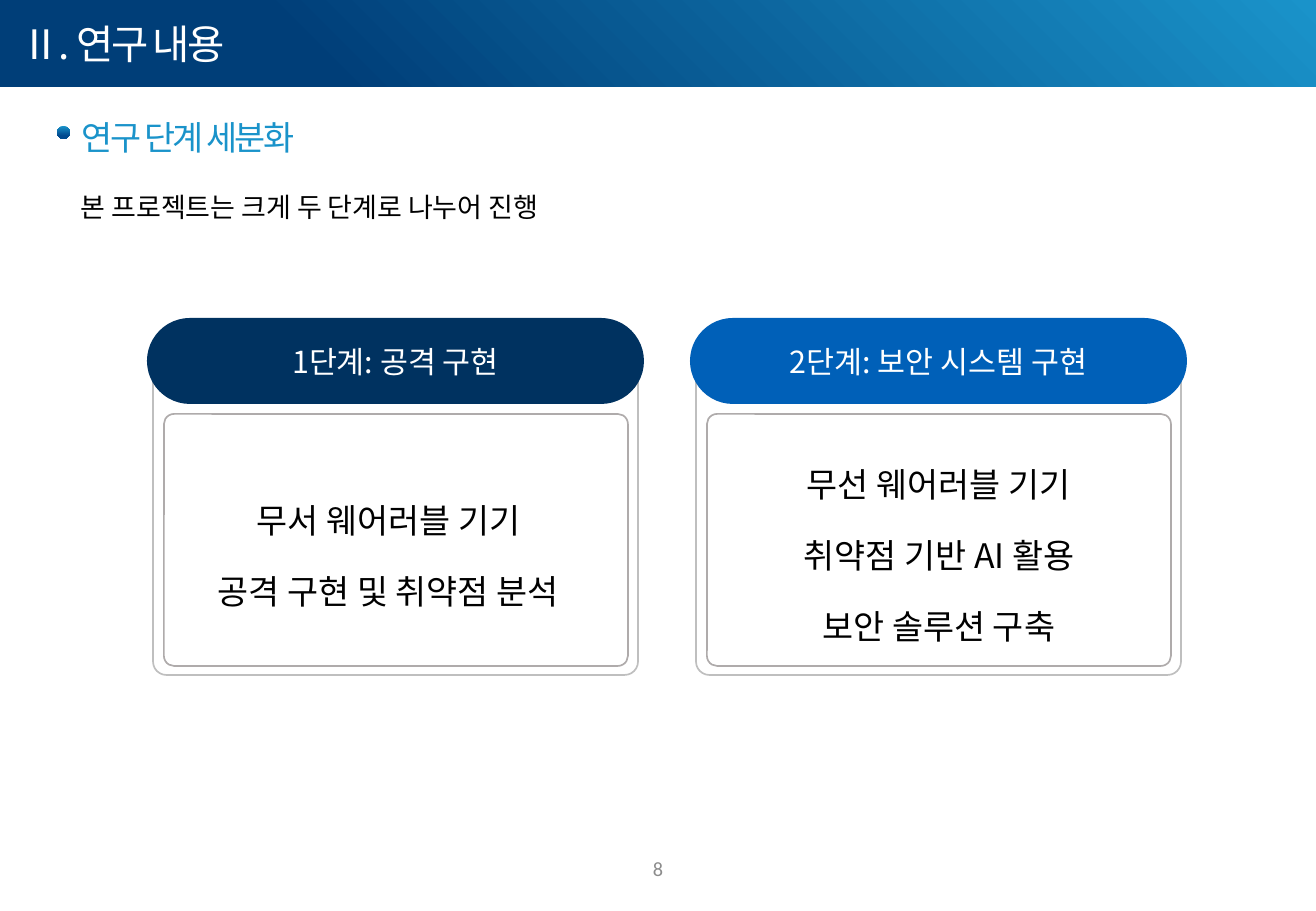
from dataclasses import dataclass

from pptx import Presentation
from pptx import util as u
from pptx.dml.color import RGBColor
from pptx.enum import shapes, text

TITLE = "Ⅱ. 연구 내용"
HEADING = "연구 단계 세분화"
SUMMARY = "본 프로젝트는 크게 두 단계로 나누어 진행"
PAGE_NUMBER = "8"
STAGES = [
    {"label": "1단계: 공격 구현", "color": "003260", "right_inset": 27,
     "lines": ["무서 웨어러블 기기", "공격 구현 및 취약점 분석"]},
    {"label": "2단계: 보안 시스템 구현", "color": "0060B8", "right_inset": 12,
     "lines": ["무선 웨어러블 기기", "취약점 기반 AI 활용", "보안 솔루션 구축"]},
]


@dataclass(frozen=True)
class Theme:
    korean: str = "Noto Sans CJK KR"
    latin: str = "Calibri"
    white: str = "FFFFFF"
    black: str = "000000"
    gray: str = "8C8C8C"
    frame: str = "BFBFBF"
    panel: str = "AFABAB"
    banner: tuple = ("1A93CA", "003E78")
    accent: tuple = ("1A93CA", "00498E")
    title_size: int = 24
    large_size: int = 20
    label_size: int = 18
    body_size: int = 16
    number_size: int = 12


THEME = Theme()
PX = 914400 / 121.5
STAGE_LEFT, STAGE_TOP, STAGE_PITCH = 147, 318, 543
CAP_WIDTH, CAP_HEIGHT = 497, 86


def px(length):
    return u.Emu(round(length * PX))


def paint(fill, color, angle=270):
    if isinstance(color, tuple):
        fill.gradient()
        fill.gradient_angle = angle
        for stop, shade, position in zip(fill.gradient_stops, color, (0, 0.76)):
            stop.color.rgb = RGBColor.from_string(shade)
            stop.position = position
    else:
        fill.solid()
        fill.fore_color.rgb = RGBColor.from_string(color)


def add_figure(page, kind, area, color, line=None, radius=None, angle=270):
    figure = page.shapes.add_shape(kind, *map(px, area))
    figure.shadow.inherit = False
    paint(figure.fill, color, angle)
    if line:
        figure.line.color.rgb = RGBColor.from_string(line)
        figure.line.width = u.Pt(1)
    else:
        figure.line.fill.background()
    if radius is not None:
        figure.adjustments[0] = radius
    return figure


def write(box, lines, size, color, font=THEME.korean, align=text.PP_ALIGN.LEFT,
          anchor=text.MSO_ANCHOR.TOP, spacing=None, before=0, tracking=None, wrap=True):
    frame = box.text_frame
    frame.word_wrap = wrap
    frame.vertical_anchor = anchor
    frame.text = "\n".join(lines)
    for index, para in enumerate(frame.paragraphs):
        para.alignment = align
        para.line_spacing = spacing
        if index and before:
            para.space_before = u.Pt(before)
        for span in para.runs:
            span.font.size = u.Pt(size)
            paint(span.font.fill, color)
            span.font.name = font
            properties = span.font._element
            east_asian = properties.makeelement(properties[-1].tag.replace("latin", "ea"), {"typeface": font})
            properties.append(east_asian)
            if tracking:
                properties.set("spc", str(round(tracking * 100)))


def add_label(page, area, content, size, color, **style):
    box = page.shapes.add_textbox(*map(px, area))
    write(box, [content], size, color, **style)


def add_stage(page, left, stage):
    rounded = shapes.MSO_SHAPE.ROUNDED_RECTANGLE
    centered = {"align": text.PP_ALIGN.CENTER, "anchor": text.MSO_ANCHOR.MIDDLE}
    add_figure(page, rounded, (left + 6, STAGE_TOP + 22, CAP_WIDTH - 12, 335),
               THEME.white, THEME.frame, 0.04)
    panel = add_figure(page, rounded, (left + 17, STAGE_TOP + 96, CAP_WIDTH - 33, 252),
                       THEME.white, THEME.panel, 0.04)
    panel.text_frame.margin_top = px(16)
    panel.text_frame.margin_right = px(stage["right_inset"])
    write(panel, stage["lines"], THEME.large_size, THEME.black, spacing=1.5, before=6, **centered)
    cap = add_figure(page, rounded, (left, STAGE_TOP, CAP_WIDTH, CAP_HEIGHT), stage["color"], radius=0.5)
    write(cap, [stage["label"]], THEME.label_size, THEME.white, **centered)


def main():
    deck = Presentation()
    deck.slide_width, deck.slide_height = px(1316), px(911)
    page = deck.slides.add_slide(deck.slide_layouts[6])
    add_figure(page, shapes.MSO_SHAPE.RECTANGLE, (0, 0, 1316, 87), THEME.banner, angle=225)
    add_label(page, (510, 844, 296, 49), PAGE_NUMBER, THEME.number_size, THEME.gray,
              font=THEME.latin, align=text.PP_ALIGN.CENTER, anchor=text.MSO_ANCHOR.MIDDLE)
    add_label(page, (70, 111, 242, 53), HEADING, THEME.large_size, THEME.accent,
              tracking=-1.5, wrap=False)
    add_figure(page, shapes.MSO_SHAPE.OVAL, (57, 126, 13, 13), THEME.accent)
    add_label(page, (9, 13, 659, 61), TITLE, THEME.title_size, THEME.white, tracking=-1.5)
    add_label(page, (69, 168, 1179, 57), SUMMARY, THEME.body_size, THEME.black, spacing=1.5)
    for index, stage in enumerate(STAGES):
        add_stage(page, STAGE_LEFT + index * STAGE_PITCH, stage)
    deck.save("out.pptx")


if __name__ == "__main__":
    main()
